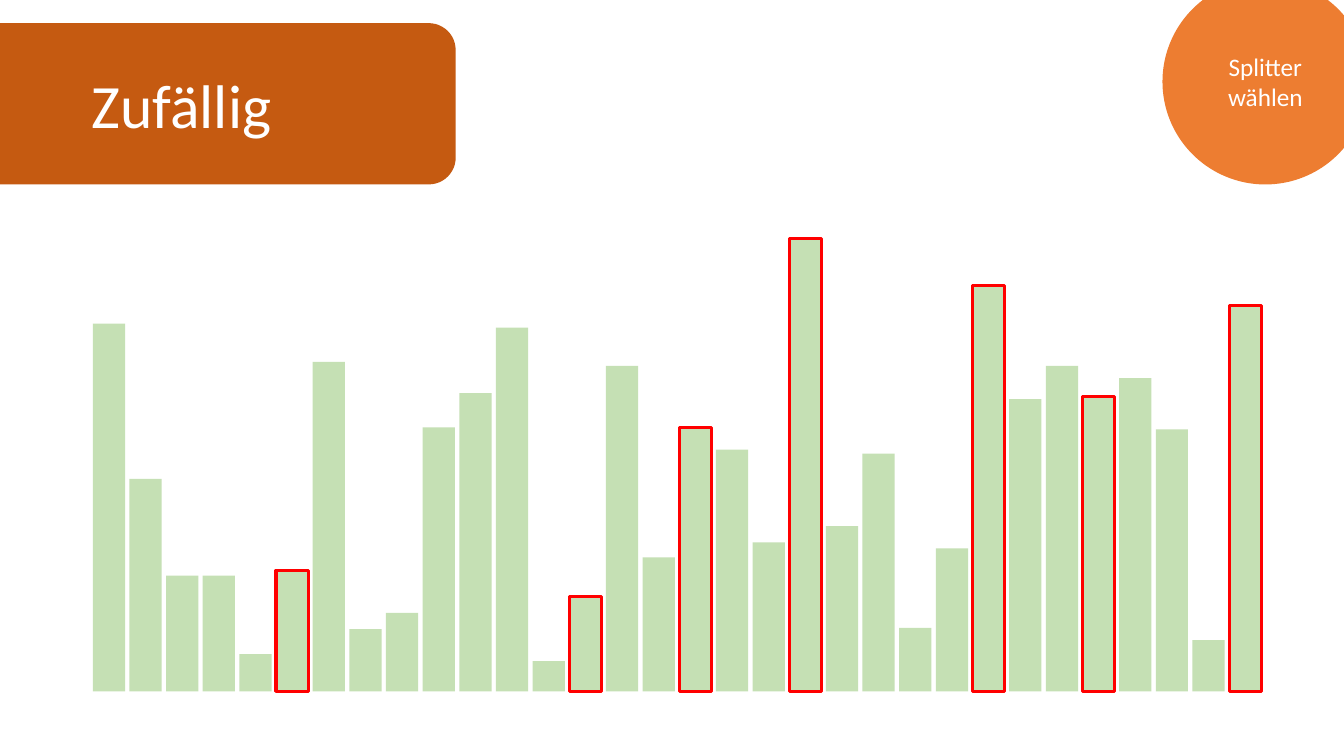
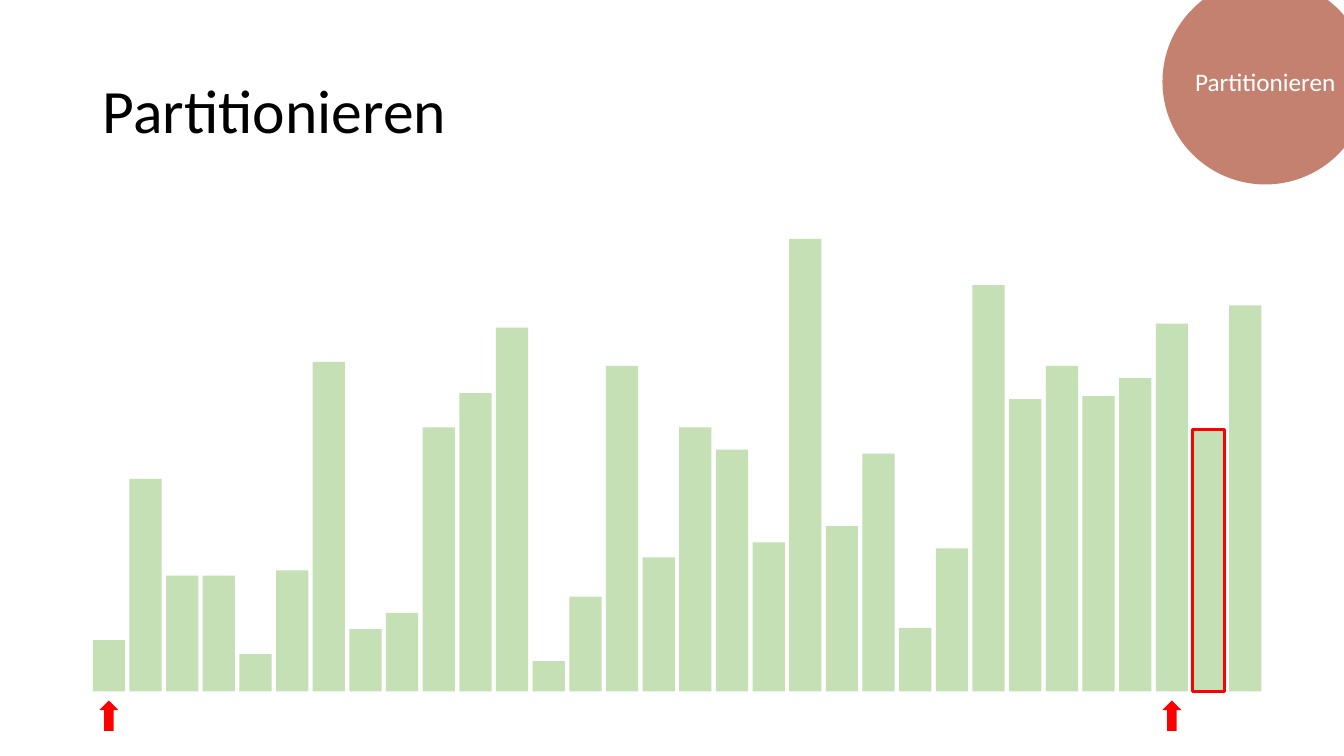
from pptx import Presentation
from pptx.dml.color import RGBColor
from pptx.enum.shapes import MSO_SHAPE
from pptx.enum.text import MSO_ANCHOR, PP_ALIGN
from pptx.util import Inches, Pt

# Content: bar heights in inches, left to right
RANDOM = [3.65, 2.11, 1.15, 1.15, 0.37, 1.2, 3.27, 0.62,
          0.78, 2.62, 2.96, 3.61, 0.3, 0.94, 3.23, 1.33,
          2.62, 2.4, 1.48, 4.49, 1.64, 2.36, 0.63, 1.42,
          4.03, 2.9, 3.23, 2.93, 3.11, 2.6, 0.51, 3.83]
SPLIT = RANDOM.copy()
SPLIT[0], SPLIT[29], SPLIT[30] = RANDOM[30], RANDOM[0], RANDOM[29]

BAND = (-0.92, 0.23, 5.44, 1.6)
SLIDES = [
    {"title": "Zufällig", "box": BAND, "band": True, "ink": "white",
     "align": PP_ALIGN.CENTER, "space": 1.0,
     "step": "Splitter wählen", "tint": "orange", "inset": 0.1,
     "bars": RANDOM, "marks": {5, 13, 16, 19, 24, 27, 31}, "arrows": []},
    {"title": "Partitionieren", "box": (0.92, 0.4, 11.5, 1.45), "band": False,
     "ink": "black", "align": PP_ALIGN.LEFT, "space": 0.9,
     "step": "Partitionieren", "tint": "clay", "inset": 0,
     "bars": SPLIT, "marks": {30}, "arrows": [0, 29]},
]

# Shared style
COLORS = {"white": "FFFFFF", "black": "000000", "green": "C5E0B4",
          "red": "FF0000", "rust": "C55A11", "orange": "ED7D31",
          "clay": "C48170"}
FONT = "Calibri"
CIRCLE = (11.53, -0.21, 2.04, 2.04)

# Bar grid
LEFT, LAST, BASE, WIDE = 0.92, 12.19, 6.86, 0.32
PITCH = (LAST - LEFT) / (len(RANDOM) - 1)
TIP, ARROW_W, ARROW_H = 6.95, 0.19, 0.3


def color(name):
    return RGBColor.from_string(COLORS[name])


def place(shape, box):
    for key, val in zip(("left", "top", "width", "height"), box):
        setattr(shape, key, Inches(val))


def draw(slide, kind, box, fill, edge=None):
    shape = slide.shapes.add_shape(kind, *map(Inches, box))
    shape.shadow.inherit = False
    shape.fill.solid()
    shape.fill.fore_color.rgb = color(fill)
    if edge:
        shape.line.color.rgb = color(edge)
        shape.line.width = Pt(2.25)
    else:
        shape.line.fill.background()
    return shape


def write(shape, text, size, ink, align=PP_ALIGN.CENTER, space=1.0, inset=0.1):
    frame = shape.text_frame
    frame.text = text
    para = frame.paragraphs[0]
    formats = [
        (frame, {"word_wrap": True, "vertical_anchor": MSO_ANCHOR.MIDDLE,
                 "margin_left": Inches(inset), "margin_right": Inches(inset)}),
        (para, {"alignment": align, "line_spacing": space}),
        (para.runs[0].font, {"name": FONT, "size": Pt(size)}),
    ]
    for part, values in formats:
        for key, val in values.items():
            setattr(part, key, val)
    para.runs[0].font.color.rgb = color(ink)


def build(deck, page):
    slide = deck.slides.add_slide(deck.slide_layouts[5])

    # Title, with its band behind it
    title = slide.shapes.title
    if page["band"]:
        band = draw(slide, MSO_SHAPE.ROUNDED_RECTANGLE, BAND, "rust")
        title._element.addprevious(band._element)
    place(title, page["box"])
    write(title, page["title"], 44, page["ink"], page["align"], page["space"])

    # Step circle
    circle = draw(slide, MSO_SHAPE.OVAL, CIRCLE, page["tint"])
    write(circle, page["step"], 18, "white", inset=page["inset"])

    # Bars, marked ones outlined
    for i, high in enumerate(page["bars"]):
        box = (LEFT + i * PITCH, BASE - high, WIDE, high)
        edge = "red" if i in page["marks"] else None
        draw(slide, MSO_SHAPE.RECTANGLE, box, "green", edge)

    # Arrows centred below their bars
    for i in page["arrows"]:
        left = LEFT + i * PITCH + (WIDE - ARROW_W) / 2
        draw(slide, MSO_SHAPE.UP_ARROW, (left, TIP, ARROW_W, ARROW_H), "red")


def main():
    deck = Presentation()
    deck.slide_width, deck.slide_height = Inches(13.33), Inches(7.5)
    for page in SLIDES:
        build(deck, page)
    deck.save("out.pptx")


if __name__ == "__main__":
    main()
